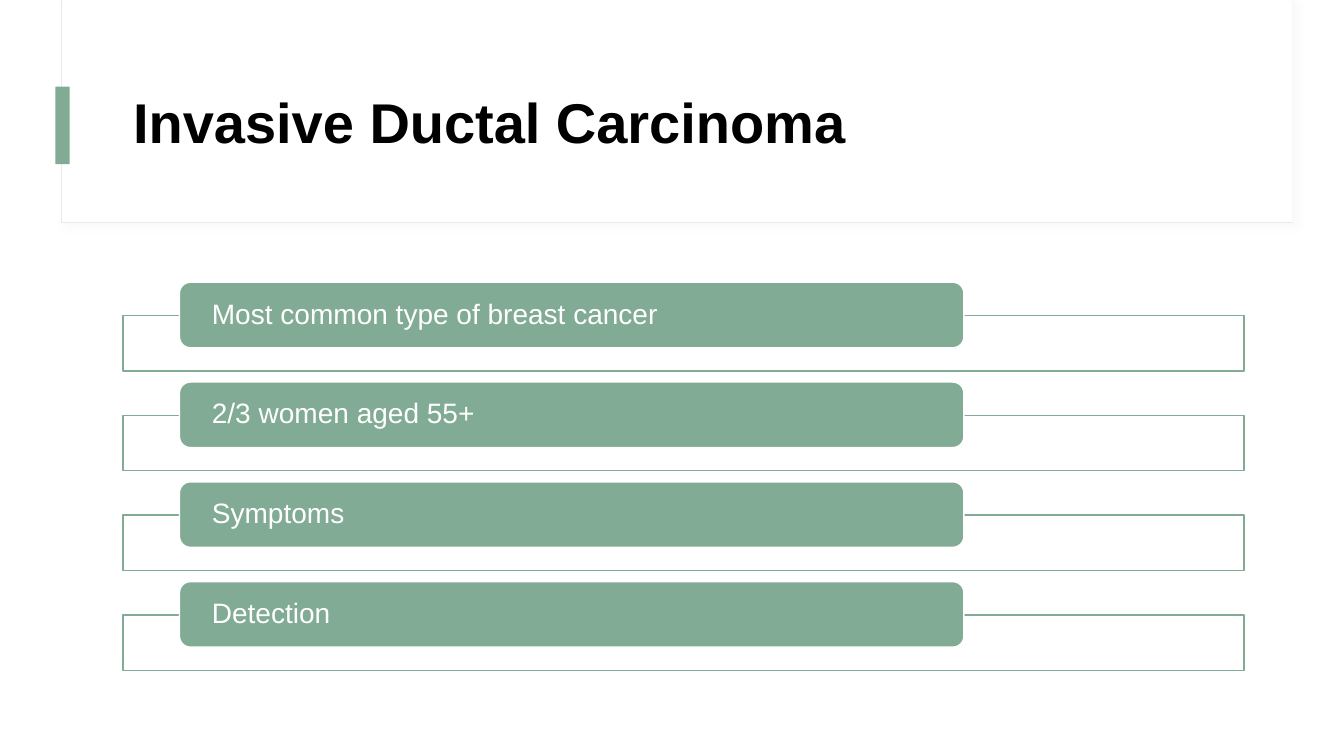
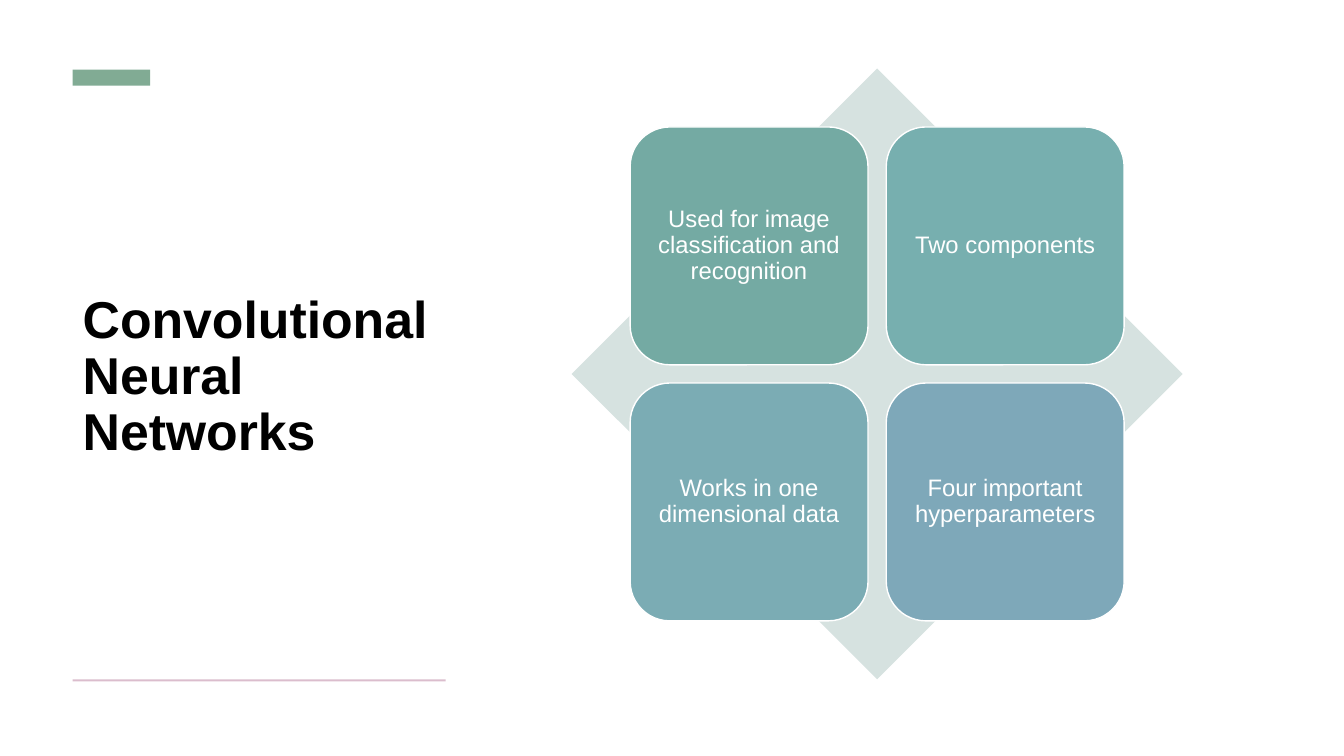
import dataclasses

import lxml.etree
import pptx
import pptx.dml.color
import pptx.enum.shapes
import pptx.enum.text
import pptx.oxml.ns
import pptx.util

Inches = pptx.util.Inches
Pt = pptx.util.Pt
Preset = pptx.enum.shapes.MSO_SHAPE
Align = pptx.enum.text.PP_ALIGN

WHITE = "FFFFFF"
BLACK = "000000"
GREEN = "81AB94"
PALE_GREEN = "D6E2E0"
PINK = "DBBDCD"
PALE_PINK = "F0E5EB"
SHADOW_GREY = "D9D9D9"
FONT = "Arial"

BULLETS = ("Most common type of breast cancer", "2/3 women aged 55+", "Symptoms", "Detection")


@dataclasses.dataclass(frozen=True)
class Box:
    left: float
    top: float
    width: float
    height: float

    def lengths(self) -> tuple:
        return tuple(Inches(value) for value in dataclasses.astuple(self))


@dataclasses.dataclass(frozen=True)
class TextStyle:
    size: float
    color: str = WHITE
    bold: bool = False
    align: Align = Align.LEFT
    side_inset: float = 0.1
    edge_inset: float = 0.05


@dataclasses.dataclass(frozen=True)
class Tile:
    text: str
    fill: str


TILES = (
    Tile("Used for image classification and recognition", "74AAA3"),
    Tile("Two components", "77AFAF"),
    Tile("Works in one dimensional data", "7BACB4"),
    Tile("Four important hyperparameters", "7EA8B9"),
)
BAR_TEXT = TextStyle(20, side_inset=0.29, edge_inset=0)
TILE_TEXT = TextStyle(17, align=Align.CENTER, side_inset=0.07, edge_inset=0.07)


def rgb(color: str) -> pptx.dml.color.RGBColor:
    return pptx.dml.color.RGBColor.from_string(color)


def set_attributes(target, values: dict) -> None:
    for name, value in values.items():
        setattr(target, name, value)


def write_text(shape, text: str, style: TextStyle) -> None:
    frame = shape.text_frame
    frame.text = text
    set_attributes(frame, {
        "word_wrap": True,
        "auto_size": pptx.enum.text.MSO_AUTO_SIZE.NONE,
        "vertical_anchor": pptx.enum.text.MSO_ANCHOR.MIDDLE,
        "margin_left": Inches(style.side_inset),
        "margin_right": Inches(style.side_inset),
        "margin_top": Inches(style.edge_inset),
        "margin_bottom": Inches(style.edge_inset),
    })
    paragraph = frame.paragraphs[0]
    set_attributes(paragraph, {
        "alignment": style.align,
        "line_spacing": 0.9,
        "space_before": Pt(0),
    })
    font = paragraph.runs[0].font
    set_attributes(font, {"name": FONT, "size": Pt(style.size), "bold": style.bold})
    font.color.rgb = rgb(style.color)


def add_box(slide, preset: Preset, box: Box, fill: str, line: str = "", line_width: float = 1):
    shape = slide.shapes.add_shape(preset, *box.lengths())
    shape.shadow.inherit = False
    shape.fill.solid()
    shape.fill.fore_color.rgb = rgb(fill)
    if line:
        shape.line.color.rgb = rgb(line)
        shape.line.width = Pt(line_width)
    else:
        shape.line.fill.background()
    return shape


def add_soft_shadow(shape) -> None:
    qn = pptx.oxml.ns.qn
    effects = shape.element.spPr.find(qn("a:effectLst"))
    shadow = lxml.etree.SubElement(
        effects, qn("a:outerShdw"),
        blurRad=str(Pt(6)), dist=str(Pt(3)), dir=str(45 * 60000), rotWithShape="0")
    color = lxml.etree.SubElement(shadow, qn("a:srgbClr"), val=SHADOW_GREY)
    lxml.etree.SubElement(color, qn("a:alpha"), val="15000")


def add_title_slide(presentation):
    return presentation.slides.add_slide(presentation.slide_layouts.get_by_name("Title Only"))


def place_title(slide, text: str, box: Box, size: float) -> None:
    title = slide.shapes.title
    set_attributes(title, dict(zip(("left", "top", "width", "height"), box.lengths())))
    write_text(title, text, TextStyle(size, BLACK, bold=True))
    # Bring the title in front of the shapes drawn so far
    slide.shapes.element.append(title.element)


def build_carcinoma_slide(presentation) -> None:
    slide = add_title_slide(presentation)

    # Title band, open at the top edge, with its accent
    band = add_box(slide, Preset.RECTANGLE, Box(0.61, 0, 12.21, 2.21), WHITE, PALE_PINK, 0.75)
    add_soft_shadow(band)
    add_box(slide, Preset.RECTANGLE, Box(0.62, 0, 12.2, 2.2), WHITE)
    add_box(slide, Preset.RECTANGLE, Box(0.55, 0.86, 0.14, 0.77), GREEN)
    place_title(slide, "Invasive Ductal Carcinoma", Box(1.22, 0.6, 11.12, 1.29), 40)

    # List of bars, each over an outlined strip
    first_top, pitch = 2.8, 0.99
    for index, text in enumerate(BULLETS):
        top = first_top + index * pitch
        add_box(slide, Preset.RECTANGLE, Box(1.22, top + 0.33, 11.12, 0.55), WHITE, GREEN)
        bar = add_box(slide, Preset.ROUNDED_RECTANGLE, Box(1.78, top, 7.78, 0.65), GREEN, WHITE)
        write_text(bar, text, BAR_TEXT)


def build_networks_slide(presentation) -> None:
    slide = add_title_slide(presentation)

    # Title column between the accent and the rule
    left, width = 0.72, 3.7
    add_box(slide, Preset.RECTANGLE, Box(left, 0.69, 0.77, 0.16), GREEN)
    add_box(slide, Preset.RECTANGLE, Box(left, 6.74, width, 0.02), PINK)
    place_title(slide, "Convolutional Neural Networks", Box(left, 1.04, width, 5.41), 37)

    # Two by two tiles centred on a diamond
    diamond = Box(5.67, 0.68, 6.06, 6.06)
    add_box(slide, Preset.DIAMOND, diamond, PALE_GREEN)
    side, gap = 2.36, 0.18
    margin = (diamond.width - 2 * side - gap) / 2
    for index, tile in enumerate(TILES):
        row, column = divmod(index, 2)
        box = Box(diamond.left + margin + column * (side + gap),
                  diamond.top + margin + row * (side + gap), side, side)
        shape = add_box(slide, Preset.ROUNDED_RECTANGLE, box, tile.fill, WHITE)
        write_text(shape, tile.text, TILE_TEXT)


def main() -> None:
    presentation = pptx.Presentation()
    presentation.slide_width = Inches(13.33)
    presentation.slide_height = Inches(7.5)
    build_carcinoma_slide(presentation)
    build_networks_slide(presentation)
    presentation.save("out.pptx")


if __name__ == "__main__":
    main()
